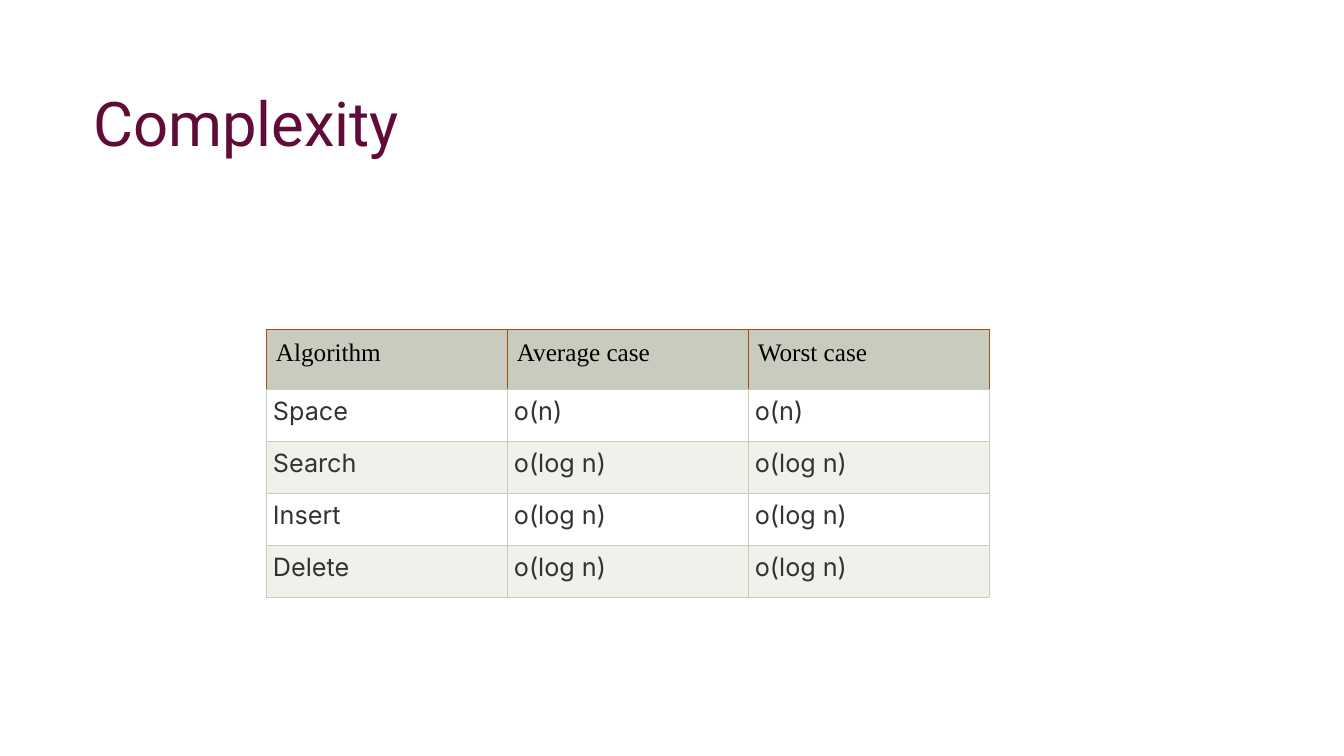
from lxml import etree
from pptx import Presentation
from pptx.dml.color import RGBColor
from pptx.enum.text import MSO_ANCHOR, PP_ALIGN
from pptx.oxml.ns import qn
from pptx.util import Pt

PX = 914400 / 100.8
TOP = MSO_ANCHOR.TOP
LEFT, JUSTIFY = PP_ALIGN.LEFT, PP_ALIGN.JUSTIFY
COLORS = {
    "title": "610B38", "head": "C7CCBE", "rust": "B0470D", "black": "000000",
    "text": "333333", "white": "FFFFFF", "band": "EFF1EB",
}
ROWS = [
    ["Algorithm", "Average case", "Worst case"],
    ["Space", "o(n)", "o(n)"],
    ["Search", "o(log n)", "o(log n)"],
    ["Insert", "o(log n)", "o(log n)"],
    ["Delete", "o(log n)", "o(log n)"],
]


def px(n):
    return round(n * PX)


def set_edge(cell, side, color):
    """Draw one border; side is L, R, T or B, called in that order before the fill."""
    line = etree.SubElement(cell._tc.get_or_add_tcPr(), qn(f"a:ln{side}"), w=str(Pt(0.6)))
    fill = etree.SubElement(line, qn("a:solidFill"))
    etree.SubElement(fill, qn("a:srgbClr"), val=COLORS[color])


deck = Presentation()
deck.slide_width, deck.slide_height = px(1344), px(756)
slide = deck.slides.add_slide(deck.slide_layouts[5])

title = slide.shapes.title
title.left, title.top, title.width, title.height = px(83), px(85), px(1159), px(146)
frame = title.text_frame
frame.text = "Complexity"
frame.vertical_anchor = TOP
frame.margin_top = px(8)
para = frame.paragraphs[0]
para.alignment = LEFT
para.line_spacing = 0.9
font = para.runs[0].font
font.name, font.size = "Roboto", Pt(44)
font.color.rgb = RGBColor.from_string(COLORS["title"])

table = slide.shapes.add_table(5, 3, px(266), px(329), px(723), px(268)).table
for col in table.columns:
    col.width = px(241)
for r, words in enumerate(ROWS):
    head = r == 0
    table.rows[r].height = px(60 if head else 52)
    back = "head" if head else "white" if r % 2 else "band"
    pad = px(10 if head else 7)
    for c, word in enumerate(words):
        cell = table.cell(r, c)
        for side in "LRTB":
            set_edge(cell, side, "rust" if head and side != "B" else "head")
        cell.fill.solid()
        cell.fill.fore_color.rgb = RGBColor.from_string(COLORS[back])
        cell.margin_left = cell.margin_right = pad
        cell.margin_top = cell.margin_bottom = pad
        cell.vertical_anchor = TOP
        cell.text_frame.text = word
        para = cell.text_frame.paragraphs[0]
        para.alignment = LEFT if head else JUSTIFY
        font = para.runs[0].font
        font.name = "Times New Roman" if head else "Inter"
        font.size, font.bold = Pt(18), False
        font.color.rgb = RGBColor.from_string(COLORS["black" if head else "text"])

deck.save("out.pptx")
